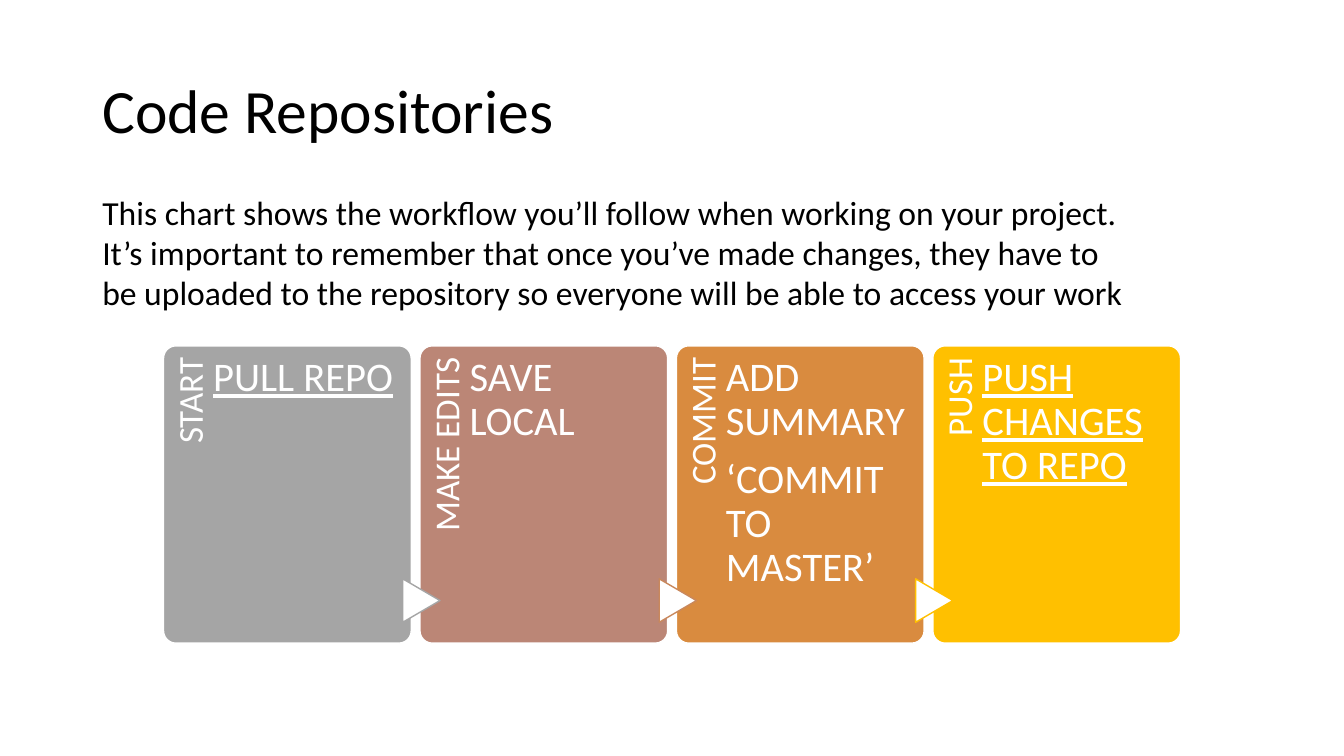
from pptx import Presentation
from pptx.dml.color import RGBColor
from pptx.enum.shapes import MSO_SHAPE
from pptx.enum.text import MSO_ANCHOR, PP_ALIGN
from pptx.util import Pt

ROUNDED = MSO_SHAPE.ROUNDED_RECTANGLE
EXTRACT = MSO_SHAPE.FLOWCHART_EXTRACT
TOP, MIDDLE = MSO_ANCHOR.TOP, MSO_ANCHOR.MIDDLE
LEFT, RIGHT = PP_ALIGN.LEFT, PP_ALIGN.RIGHT

FONT = "Calibri"
COLORS = {
    "text": "000000",
    "white": "FFFFFF",
    "start": "A5A5A5",
    "edit": "BB8676",
    "commit": "D98B3F",
    "push": "FFC000",
    "commit_arrow": "C9885C",
}
STEPS = [
    ("START", ["PULL REPO"], "start", None, True),
    ("MAKE EDITS", ["SAVE LOCAL"], "edit", "start", False),
    ("COMMIT", ["ADD SUMMARY", "‘COMMIT TO MASTER’"], "commit", "commit_arrow", False),
    ("PUSH", ["PUSH CHANGES TO REPO"], "push", "push", True),
]
PITCH_RATIO = 1.035


def rgb(name):
    """Return the named colour."""
    return RGBColor.from_string(COLORS[name])


def add_text(slide, box, lines, size, color="white", insets=(7.2, 3.6, 7.2, 3.6),
             anchor=TOP, align=LEFT, spacing=0.9, after=0, underline=None):
    """Add a wrapped text box with one paragraph per line and return it."""
    textbox = slide.shapes.add_textbox(*map(Pt, box))
    frame = textbox.text_frame
    frame.word_wrap = True
    frame.vertical_anchor = anchor
    (frame.margin_left, frame.margin_top,
     frame.margin_right, frame.margin_bottom) = map(Pt, insets)
    frame.text = "\n".join(lines)
    for paragraph in frame.paragraphs:
        paragraph.alignment = align
        paragraph.line_spacing = spacing
        paragraph.space_after = Pt(after)
        font = paragraph.runs[0].font
        font.name, font.size, font.underline = FONT, Pt(size), underline
        font.color.rgb = rgb(color)
    return textbox


def add_filled(slide, kind, box, fill, line, line_width=1):
    """Add a preset shape with a plain fill and outline and return it."""
    shape = slide.shapes.add_shape(kind, *map(Pt, box))
    shape.shadow.inherit = False
    shape.fill.solid()
    shape.fill.fore_color.rgb = rgb(fill)
    shape.line.color.rgb = rgb(line)
    shape.line.width = Pt(line_width)
    return shape


def add_step(slide, box, step):
    """Draw one workflow card with its side label, incoming arrow and action."""
    left, top, width, height = box
    label, actions, fill, arrow_line, underline = step
    card = add_filled(slide, ROUNDED, box, fill, "white")
    card.adjustments[0] = 0.05

    label_length, label_depth = height * 0.82, width * 0.2
    label_left = left + (label_depth - label_length) / 2
    label_top = top + (label_length - label_depth) / 2
    side_label = add_text(slide, (label_left, label_top, label_length, label_depth),
                          [label], 25, insets=(0, 6.5, 8.6, 0), align=RIGHT)
    side_label.rotation = 270

    if arrow_line:
        arrow_width, arrow_height = 31, 26.6
        arrow = add_filled(slide, EXTRACT,
                           (left + 1 - arrow_width / 2, top + 182 - arrow_height / 2,
                            arrow_width, arrow_height), "white", arrow_line)
        arrow.rotation = 90

    add_text(slide, (left + label_depth, top, width * 0.745, height), actions, 29,
             insets=(0, 7.9, 0, 0), after=10, underline=underline)


def add_workflow(slide, box):
    """Lay the workflow cards out at equal pitch across the box."""
    left, top, width, height = box
    card_width = width / (1 + PITCH_RATIO * (len(STEPS) - 1))
    for index, step in enumerate(STEPS):
        card_left = left + index * card_width * PITCH_RATIO
        add_step(slide, (card_left, top, card_width, height), step)


def add_heading(slide, box):
    """Place the slide title."""
    add_text(slide, box, ["Code Repositories"], 44, "text", anchor=MIDDLE)


def add_intro(slide, box):
    """Place the paragraph that introduces the workflow."""
    add_text(slide, box, [
        "This chart shows the workflow you’ll follow when working on your project. "
        "It’s important to remember that once you’ve made changes, they have to "
        "be uploaded to the repository so everyone will be able to access your work"
    ], 24, "text", spacing=1.0)


def main():
    """Build and save the slide."""
    deck = Presentation()
    deck.slide_width, deck.slide_height = Pt(960), Pt(540)
    slide = deck.slides.add_slide(deck.slide_layouts[6])
    add_heading(slide, (66, 28.75, 828, 104.4))
    add_workflow(slide, (116.8, 247, 726.5, 212.4))
    add_intro(slide, (66, 133.2, 746, 94.5))
    deck.save("out.pptx")


if __name__ == "__main__":
    main()
